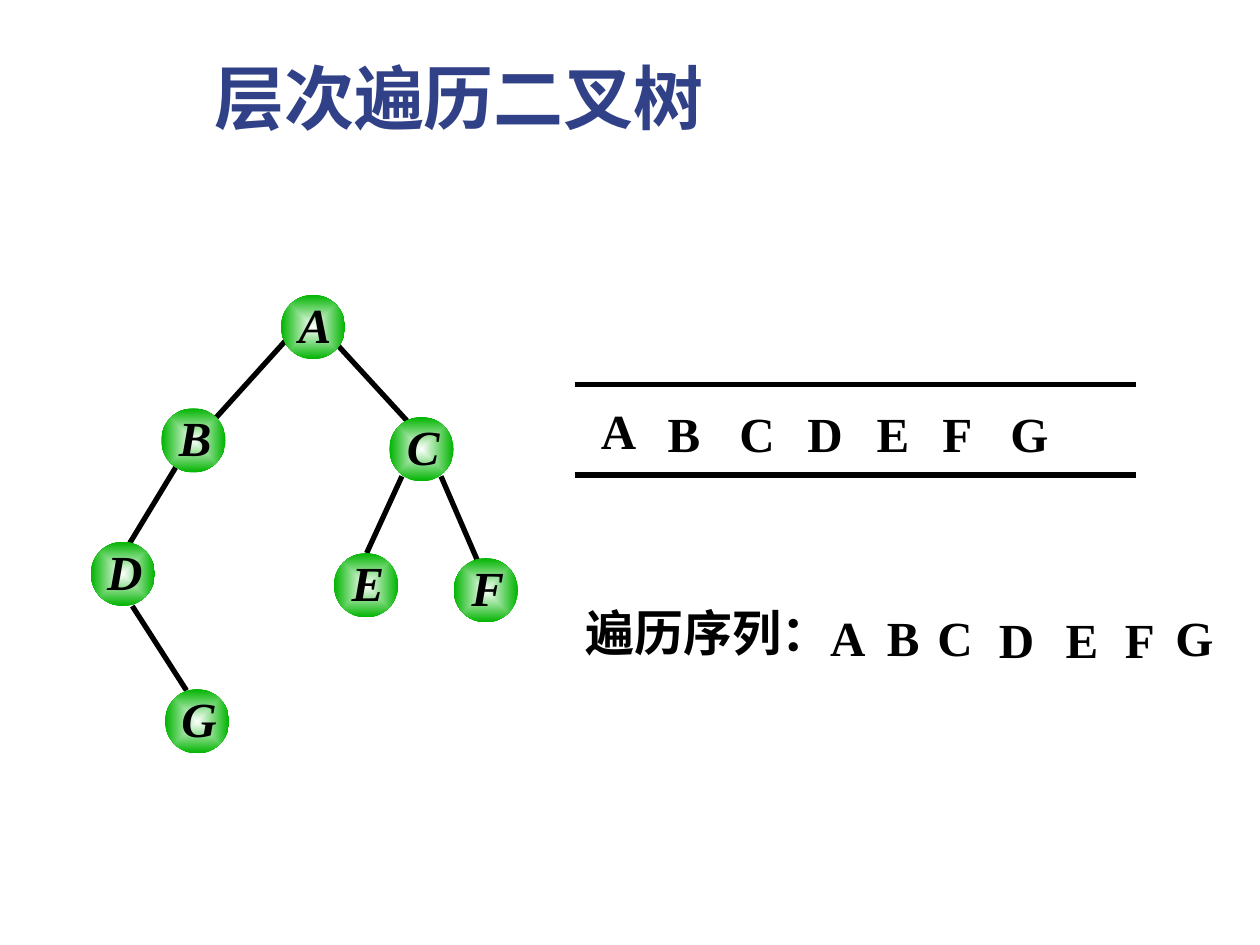
from dataclasses import dataclass

from lxml.etree import SubElement
from pptx import Presentation
from pptx.dml.color import RGBColor
from pptx.enum.shapes import MSO_CONNECTOR as Connector, MSO_SHAPE as Preset
from pptx.enum.text import MSO_ANCHOR as Anchor, MSO_AUTO_SIZE as AutoSize, PP_ALIGN as Align
from pptx.oxml import parse_xml
from pptx.oxml.ns import nsdecls, qn
from pptx.util import Inches, Pt


@dataclass(frozen=True)
class Theme:
    font: str = "Times New Roman"
    title_color: str = "314187"
    ink: str = "000000"
    paper: str = "FFFFFF"
    node_rim: str = "00B400"
    title_size: int = 40
    body_size: int = 28
    line_width: int = 3


THEME = Theme()
WIDTH, HEIGHT = Inches(10), Inches(7.5)
COLUMNS, ROWS = 100, 75
NODE_SIZE = 5.1
LABEL_SHIFT = (0.55, -0.45)
LABEL_SIZE = (4.3, 6.7)
LETTER_SIZE = (5.2, 5.7)

NODES = {
    "A": (22.3, 23.4),
    "B": (12.8, 32.4),
    "C": (30.9, 33.1),
    "D": (7.2, 43),
    "E": (26.5, 43.9),
    "F": (36, 44.3),
    "G": (13.1, 54.7),
}
EDGES = [
    (22.7, 27, 17.1, 33.2),
    (26.8, 27.4, 32.4, 33.5),
    (14, 37, 10.3, 43.1),
    (10.5, 48.1, 14.8, 54.8),
    (31.9, 37.8, 29.1, 43.9),
    (35, 37.8, 37.9, 44.5),
]
QUEUE_LEFT, QUEUE_RIGHT = 45.6, 90.2
QUEUE_TOP, QUEUE_BOTTOM = 30.5, 37.7
QUEUE_LETTERS = [(46.7, 31.3), (52, 31.5), (57.7, 31.5), (63.1, 31.5),
                 (68.6, 31.5), (73.8, 31.5), (79.2, 31.5)]
SEQUENCE_LETTERS = [(64.9, 47.7), (69.4, 47.7), (73.4, 47.7), (78.3, 47.9),
                    (83.6, 47.9), (88.3, 47.9), (92.3, 47.7)]


def grid(*values):
    steps = (WIDTH / COLUMNS, HEIGHT / ROWS)
    return [round(value * steps[index % 2]) for index, value in enumerate(values)]


def apply(target, formats):
    for name, value in formats.items():
        setattr(target, name, value)


def write(shape, text, size=THEME.body_size, color=THEME.ink, italic=False,
          alignment=Align.LEFT, **frame_formats):
    frame = shape.text_frame
    apply(frame, {"word_wrap": True, "vertical_anchor": Anchor.TOP, **frame_formats})
    paragraph = frame.paragraphs[0]
    paragraph.alignment = alignment
    run = paragraph.add_run()
    run.text = text
    apply(run.font, {"name": THEME.font, "size": Pt(size), "bold": True, "italic": italic})
    run.font.color.rgb = RGBColor.from_string(color)


def add_title(slide, text):
    title = slide.shapes.title
    apply(title, dict(zip(("left", "top", "width", "height"), grid(16, 3.8, 77.1, 7.7))))
    write(title, text, THEME.title_size, THEME.title_color, alignment=Align.JUSTIFY,
          auto_size=AutoSize.SHAPE_TO_FIT_TEXT)


def add_text(shapes, text, left, top, width, height):
    box = shapes.add_textbox(*grid(left, top, width, height))
    write(box, text, auto_size=AutoSize.SHAPE_TO_FIT_TEXT)


def add_letters(shapes, places):
    for letter, place in zip(NODES, places):
        add_text(shapes, letter, *place, *LETTER_SIZE)


def add_line(shapes, *ends):
    line = shapes.add_connector(Connector.STRAIGHT, *grid(*ends))
    line.line.width = Pt(THEME.line_width)
    line.line.color.rgb = RGBColor.from_string(THEME.ink)
    SubElement(line._element.spPr, qn("a:effectLst"))


def fill_radial(shape, center, rim):
    gradient = parse_xml(
        f'<a:gradFill {nsdecls("a")} rotWithShape="1"><a:gsLst>'
        f'<a:gs pos="0"><a:srgbClr val="{center}"/></a:gs>'
        f'<a:gs pos="100000"><a:srgbClr val="{rim}"/></a:gs></a:gsLst>'
        '<a:path path="shape"><a:fillToRect l="50000" t="50000" r="50000" b="50000"/>'
        '</a:path></a:gradFill>')
    shape._element.spPr.find(qn("a:prstGeom")).addnext(gradient)


def add_node(shapes, letter, left, top):
    circle = shapes.add_shape(Preset.OVAL, *grid(left, top, NODE_SIZE, NODE_SIZE))
    circle.shadow.inherit = False
    circle.line.fill.background()
    fill_radial(circle, THEME.paper, THEME.node_rim)
    shift_x, shift_y = LABEL_SHIFT
    label = shapes.add_textbox(*grid(left + shift_x, top + shift_y, *LABEL_SIZE))
    write(label, letter, italic=True, alignment=Align.CENTER, margin_left=0,
          margin_right=0, margin_top=Inches(0.04), margin_bottom=0)


def add_tree(slide):
    shapes = slide.shapes.add_group_shape().shapes
    for edge in EDGES:
        add_line(shapes, *edge)
    for letter, place in NODES.items():
        add_node(shapes, letter, *place)


def add_queue(shapes):
    band = shapes.add_shape(Preset.RECTANGLE, *grid(
        QUEUE_LEFT, QUEUE_TOP + 0.2, QUEUE_RIGHT - QUEUE_LEFT, 7))
    band.shadow.inherit = False
    band.fill.solid()
    band.fill.fore_color.rgb = RGBColor.from_string(THEME.paper)
    band.line.fill.background()
    for row in (QUEUE_TOP, QUEUE_BOTTOM):
        add_line(shapes, QUEUE_LEFT, row, QUEUE_RIGHT, row)
    add_letters(shapes, QUEUE_LETTERS)


def add_sequence(shapes):
    add_text(shapes, "遍历序列：", 45.5, 47.3, 49.4, 5.7)
    add_letters(shapes, SEQUENCE_LETTERS)


def main():
    presentation = Presentation()
    apply(presentation, {"slide_width": WIDTH, "slide_height": HEIGHT})
    slide = presentation.slides.add_slide(presentation.slide_layouts[5])
    add_title(slide, "层次遍历二叉树")
    add_tree(slide)
    add_queue(slide.shapes)
    add_sequence(slide.shapes)
    presentation.save("out.pptx")


if __name__ == "__main__":
    main()
